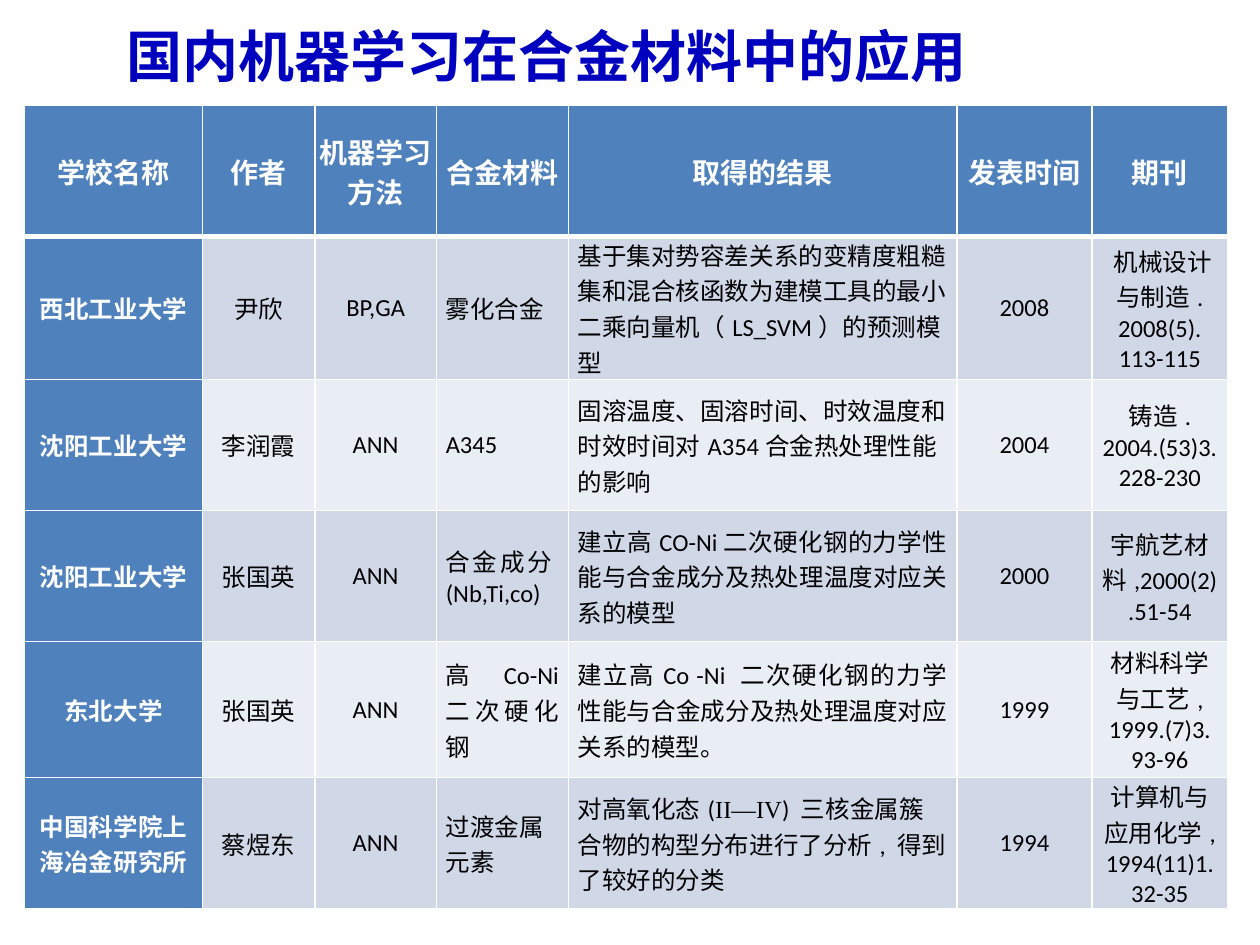
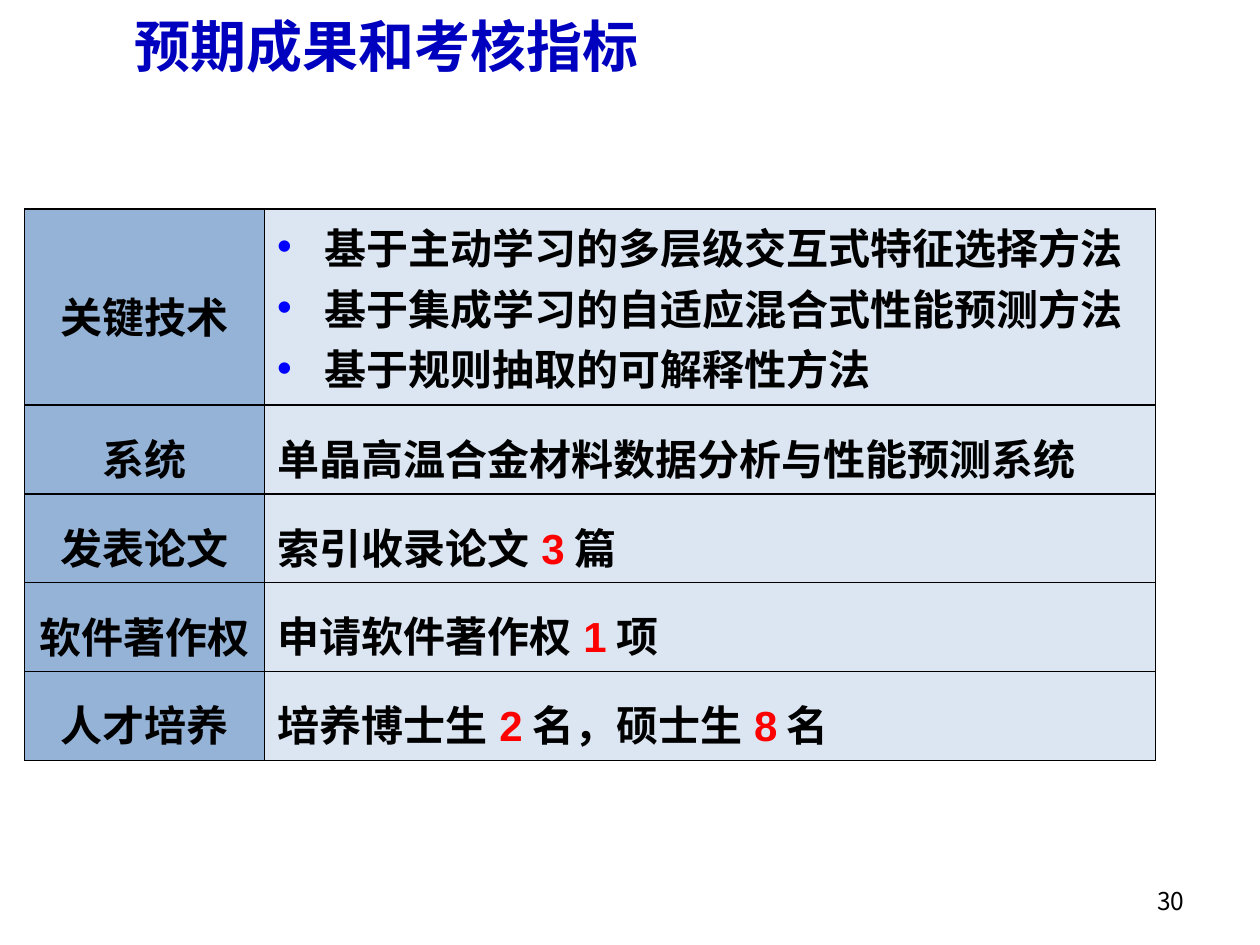
from lxml import etree
from pptx import Presentation
from pptx import util as u
from pptx.dml.color import RGBColor
from pptx.enum import text
from pptx.oxml.ns import qn

# Shared look
COLORS = {
    "title": "0000BF", "black": "000000", "white": "FFFFFF", "red": "FF0000",
    "bullet": "0000FF", "header": "4F81BD", "band_dark": "D0D8E8",
    "band_light": "E9EDF4", "label": "95B3D7", "content": "DCE6F2",
}
CJK_FONT = "Noto Sans CJK SC"
CENTER, LEFT, RIGHT, JUSTIFY = (
    text.PP_ALIGN.CENTER, text.PP_ALIGN.LEFT, text.PP_ALIGN.RIGHT, text.PP_ALIGN.JUSTIFY)
MIDDLE, TOP = text.MSO_ANCHOR.MIDDLE, text.MSO_ANCHOR.TOP

TITLE_FONT = {"name": CJK_FONT, "size": u.Pt(32), "bold": True, "color": "title"}
NUMBER_FONT = {"name": CJK_FONT, "size": u.Pt(14), "bold": False, "color": "black"}
HEADER_FONT = {"name": "Calibri", "size": u.Pt(16), "bold": True, "color": "white"}
SCHOOL_FONT = {**HEADER_FONT, "size": u.Pt(14)}
STUDY_FONT = {**SCHOOL_FONT, "bold": False, "color": "black"}
GOAL_FONT = {"name": "Arial", "size": u.Pt(24), "bold": True, "color": "black"}
RED = {"color": "red"}
TABLE_LEFT = 14

# Domestic studies
STUDY_WIDTHS = [101.8, 64.2, 69.4, 75.4, 222, 77.4, 77.4]
STUDY_HEIGHTS = [74.9, 77.8, 74.9, 74.9, 77.8, 74.9]
STUDY_HEADERS = ["学校名称", "作者", "机器学习方法", "合金材料", "取得的结果", "发表时间", "期刊"]
MATERIAL_COLUMN, RESULT_COLUMN = 3, 4
JUSTIFIED_ROWS = (3, 4)
STUDIES = [
    ["西北工业大学", "尹欣", "BP,GA", "雾化合金",
     "基于集对势容差关系的变精度粗糙集和混合核函数为建模工具的最小二乘向量机（LS_SVM）的预测模型",
     "2008", " 机械设计与制造. 2008(5). 113-115"],
    ["沈阳工业大学", "李润霞", "ANN", "A345",
     "固溶温度、固溶时间、时效温度和时效时间对A354合金热处理性能的影响",
     "2004", "铸造. 2004.(53)3. 228-230"],
    ["沈阳工业大学", "张国英", "ANN", "合金成分(Nb,Ti,co)",
     "建立高CO-Ni二次硬化钢的力学性能与合金成分及热处理温度对应关系的模型",
     "2000", "宇航艺材料,2000(2).51-54"],
    ["东北大学", "张国英", "ANN", "高Co-Ni 二次硬化钢",
     "建立高Co -Ni 二次硬化钢的力学性能与合金成分及热处理温度对应关系的模型。",
     "1999", "材料科学与工艺, 1999.(7)3. 93-96"],
    ["中国科学院上海冶金研究所", "蔡煜东", "ANN", "过渡金属元素",
     [("对高氧化态(", {}), ("II—IV", {"name": "Times New Roman"}),
      (") 三核金属簇合物的构型分布进行了分析, 得到了较好的分类", {})],
     "1994", "计算机与应用化学, 1994(11)1. 32-35"],
]

# Expected results: label and the paragraphs beside it
GOAL_WIDTHS = [137.2, 509]
GOAL_HEIGHTS = [112] + [50.6] * 4
GOALS = [
    ("关键技术", ["基于主动学习的多层级交互式特征选择方法",
              "基于集成学习的自适应混合式性能预测方法",
              "基于规则抽取的可解释性方法"]),
    ("系统", ["单晶高温合金材料数据分析与性能预测系统"]),
    ("发表论文", [[("索引收录论文", {}), ("3", RED), ("篇", {})]]),
    ("软件著作权", [[("申请软件著作权", {}), ("1", RED), ("项", {})]]),
    ("人才培养", [[("培养博士生", {}), ("2", RED), ("名，硕士生", {}),
               ("8", RED), ("名", {})]]),
]


def rgb(color):
    return RGBColor.from_string(COLORS[color])


def set_attributes(target, values):
    for name, value in values.items():
        setattr(target, name, value)


def add_runs(paragraph, content, font_format):
    """Write a string, or a list of (string, font changes)."""
    runs = [(content, {})] if isinstance(content, str) else content
    for words, changes in runs:
        run = paragraph.add_run()
        run.text = words
        values = {**font_format, **changes}
        run.font.color.rgb = rgb(values.pop("color"))
        set_attributes(run.font, values)
        east_asian = etree.SubElement(run.font._element, qn("a:ea"))
        east_asian.set("typeface", CJK_FONT)


def add_bullet(paragraph, indent):
    properties = paragraph._p.get_or_add_pPr()
    properties.set("marL", str(indent))
    properties.set("indent", str(-indent))
    color = etree.SubElement(properties, qn("a:buClr"))
    etree.SubElement(color, qn("a:srgbClr")).set("val", COLORS["bullet"])
    etree.SubElement(properties, qn("a:buFont")).set("typeface", "Arial")
    etree.SubElement(properties, qn("a:buChar")).set("char", "•")


def set_borders(cell, color, top=1, bottom=1):
    properties = cell._tc.get_or_add_tcPr()
    widths = {"a:lnL": 1, "a:lnR": 1, "a:lnT": top, "a:lnB": bottom}
    for position, (side, width) in enumerate(widths.items()):
        line = etree.Element(qn(side), w=str(u.Pt(width)))
        fill = etree.SubElement(line, qn("a:solidFill"))
        etree.SubElement(fill, qn("a:srgbClr")).set("val", COLORS[color])
        properties.insert(position, line)


def fill_cell(cell, paragraphs, font_format, fill, anchor, margins, paragraph_format):
    side, edge = (u.Pt(margin) for margin in margins)
    set_attributes(cell, {"margin_left": side, "margin_right": side, "margin_top": edge,
                          "margin_bottom": edge, "vertical_anchor": anchor})
    cell.fill.solid()
    cell.fill.fore_color.rgb = rgb(fill)
    for index, content in enumerate(paragraphs):
        frame = cell.text_frame
        paragraph = frame.add_paragraph() if index else frame.paragraphs[0]
        set_attributes(paragraph, paragraph_format)
        add_runs(paragraph, content, font_format)


def add_table(slide, top, widths, heights):
    frame = slide.shapes.add_table(len(heights), len(widths), u.Pt(TABLE_LEFT), u.Pt(top),
                                   u.Pt(sum(widths)), u.Pt(sum(heights)))
    table = frame.table
    set_attributes(table, {"first_row": False, "horz_banding": False})
    for column, width in zip(table.columns, widths):
        column.width = u.Pt(width)
    for row, height in zip(table.rows, heights):
        row.height = u.Pt(height)
    return table


def place(shape, left, top, width, height):
    set_attributes(shape, {"left": u.Pt(left), "top": u.Pt(top),
                           "width": u.Pt(width), "height": u.Pt(height)})


def write_line(shape, words, font_format, alignment):
    set_attributes(shape.text_frame, {"word_wrap": True, "vertical_anchor": MIDDLE,
                                      "auto_size": text.MSO_AUTO_SIZE.NONE})
    paragraph = shape.text_frame.paragraphs[0]
    paragraph.alignment = alignment
    add_runs(paragraph, words, font_format)


def add_titled_slide(presentation, title, box):
    slide = presentation.slides.add_slide(presentation.slide_layouts[5])
    place(slide.shapes.title, *box)
    write_line(slide.shapes.title, title, TITLE_FONT, LEFT)
    return slide


def add_page_number(slide, number):
    shape = slide.shapes.add_textbox(u.Pt(516), u.Pt(500.4), u.Pt(168), u.Pt(28.8))
    write_line(shape, number, NUMBER_FONT, RIGHT)


def study_alignment(row, column):
    if row == 0 or column not in (MATERIAL_COLUMN, RESULT_COLUMN):
        return CENTER
    return JUSTIFY if row in JUSTIFIED_ROWS else LEFT


def add_study_table(slide):
    table = add_table(slide, 60.3, STUDY_WIDTHS, STUDY_HEIGHTS)
    for row, contents in enumerate([STUDY_HEADERS] + STUDIES):
        for column, content in enumerate(contents):
            if row == 0:
                font_format, fill = HEADER_FONT, "header"
            elif column == 0:
                font_format, fill = SCHOOL_FONT, "header"
            else:
                font_format, fill = STUDY_FONT, "band_dark" if row % 2 else "band_light"
            cell = table.cell(row, column)
            fill_cell(cell, [content], font_format, fill, MIDDLE,
                      (5.4 if row else 1.4, 0),
                      {"alignment": study_alignment(row, column)})
            set_borders(cell, "white", top=3 if row == 1 else 1, bottom=1 if row else 3)


def add_goal_table(slide):
    table = add_table(slide, 119.5, GOAL_WIDTHS, GOAL_HEIGHTS)
    margins = (7.2, 3.6)
    for row, (label, paragraphs) in enumerate(GOALS):
        label_cell, content_cell = table.cell(row, 0), table.cell(row, 1)
        is_list = len(paragraphs) > 1
        fill_cell(label_cell, [label], GOAL_FONT, "label", MIDDLE, margins,
                  {"alignment": CENTER, "line_spacing": 1.25})
        fill_cell(content_cell, paragraphs, GOAL_FONT, "content", TOP, margins,
                  {"alignment": JUSTIFY, "line_spacing": 1.0 if is_list else 1.25})
        if is_list:
            for paragraph in content_cell.text_frame.paragraphs:
                add_bullet(paragraph, u.Pt(27))
        for cell in (label_cell, content_cell):
            set_borders(cell, "black")


def main():
    presentation = Presentation()
    set_attributes(presentation, {"slide_width": u.Pt(720), "slide_height": u.Pt(540)})

    # Domestic applications
    slide = add_titled_slide(presentation, "国内机器学习在合金材料中的应用",
                             (65.2, 0, 648, 62.6))
    add_study_table(slide)

    # Expected results
    slide = add_titled_slide(presentation, "预期成果和考核指标", (69.8, 6.5, 581.8, 38.2))
    add_goal_table(slide)
    add_page_number(slide, "30")

    presentation.save("out.pptx")


if __name__ == "__main__":
    main()
